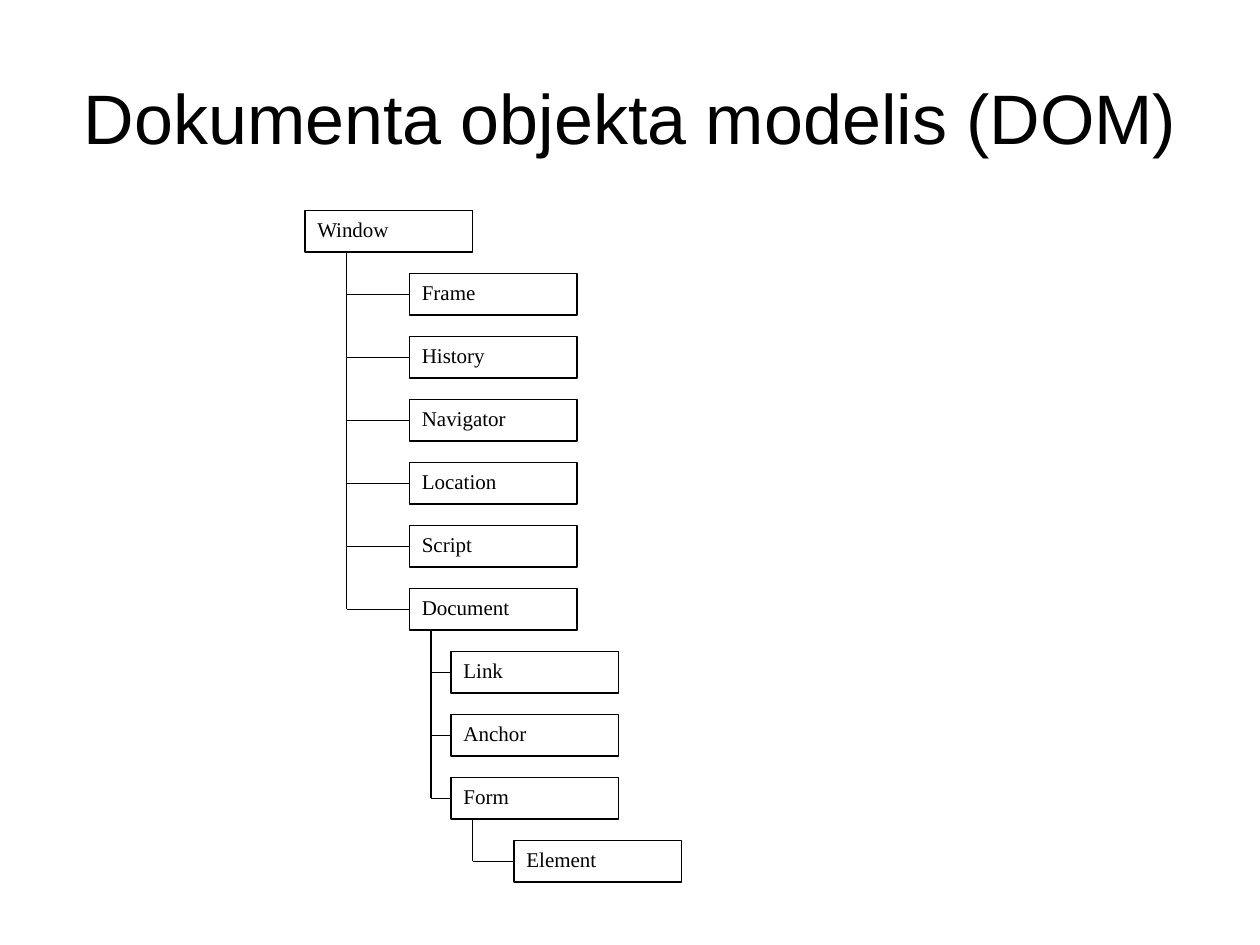
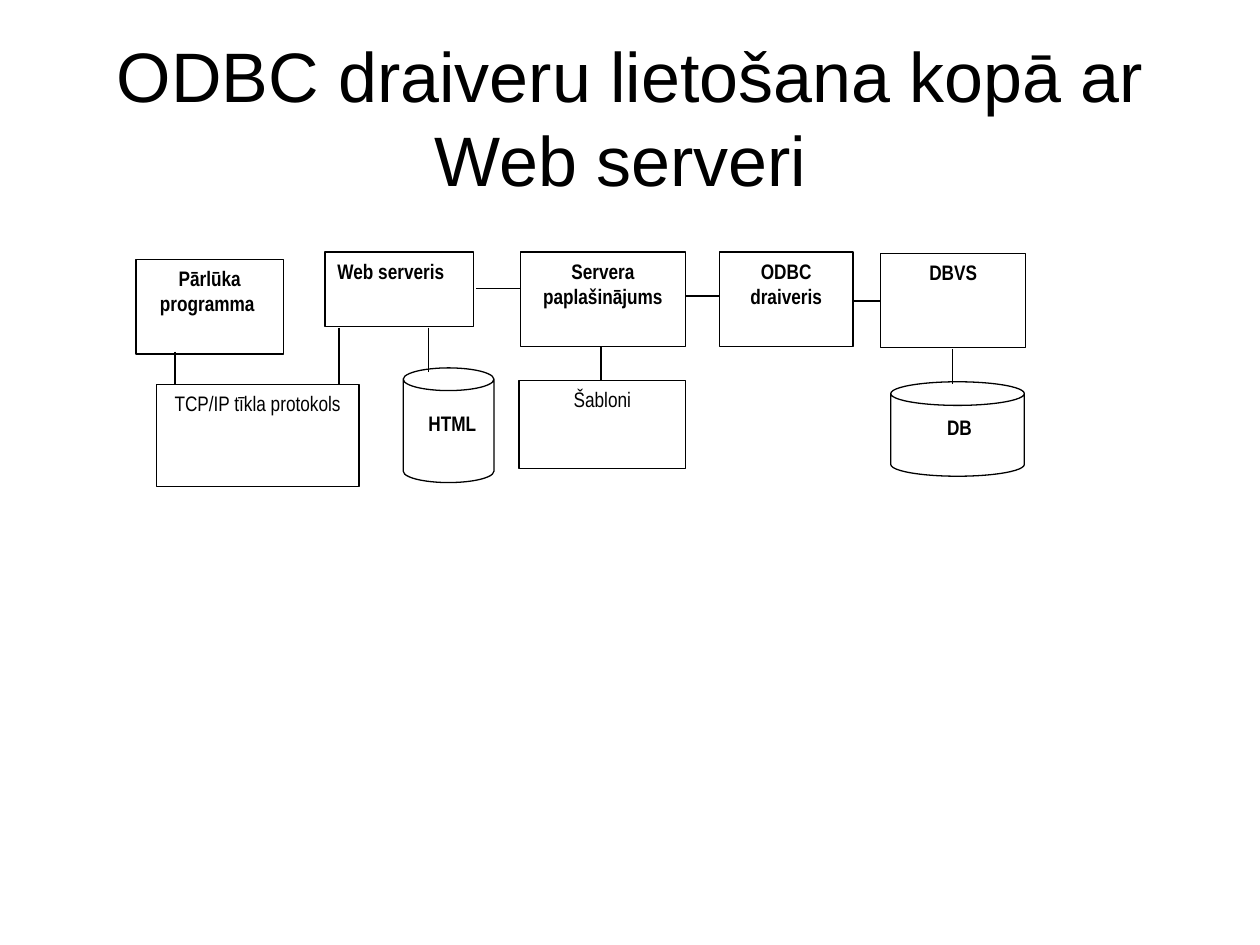
from lxml.etree import SubElement
from pptx import Presentation
from pptx.dml.color import RGBColor
from pptx.enum.shapes import MSO_CONNECTOR, MSO_SHAPE
from pptx.enum.text import MSO_ANCHOR, PP_ALIGN
from pptx.oxml.ns import qn
from pptx.util import Inches, Pt

INK = "000000"
PAPER = "FFFFFF"
TITLE_FONT = "Arial"
TREE_FONT = "Times New Roman"
FLOW_FONT = "Arial Narrow"

TREE_TOP, ROW_STEP = 1.67, 0.5
NODE_WIDTH, NODE_HEIGHT = 1.33, 0.33
ROOT, ROOT_LEFT = "Window", 2.42
BRANCHES = [
    (2.75, 3.25, ["Frame", "History", "Navigator", "Location", "Script", "Document"]),
    (3.42, 3.58, ["Link", "Anchor", "Form"]),
    (3.75, 4.08, ["Element"]),
]

FLOW_BOXES = [
    ("Pārlūka programma ", (1.08, 2.06, 1.17, 0.75), {}),
    ("Web serveris", (2.58, 2, 1.18, 0.59), {"align": PP_ALIGN.LEFT}),
    ("TCP/IP tīkla protokols", (1.24, 3.05, 1.61, 0.81), {"bold": False}),
    ("Servera paplašinājums", (4.13, 2, 1.31, 0.75), {}),
    ("ODBC draiveris", (5.71, 2, 1.06, 0.75), {}),
    ("DBVS", (6.99, 2.01, 1.15, 0.75), {}),
    ("Šabloni", (4.12, 3.02, 1.32, 0.7), {"bold": False}),
]
STORES = [
    ("HTML", (3.2, 2.92, 0.72, 0.91), (3.24, 3.21, 0.7, 0.44)),
    ("DB", (7.07, 3.03, 1.06, 0.75), (7.17, 3.24, 0.89, 0.52)),
]
FLOW_LINES = [
    (2.69, 2.6, 2.69, 3.05),
    (1.39, 2.79, 1.39, 3.05),
    (3.4, 2.6, 3.4, 2.95),
    (3.78, 2.29, 4.13, 2.29),
    (5.44, 2.35, 5.71, 2.35),
    (7.56, 2.77, 7.56, 3.05),
    (6.78, 2.39, 6.99, 2.39),
    (4.77, 2.75, 4.77, 3.02),
]


def color(value):
    """Turn a hex string into a colour."""
    return RGBColor.from_string(value)


def write(shape, text, font=FLOW_FONT, size=12, bold=False,
          align=PP_ALIGN.LEFT, anchor=MSO_ANCHOR.TOP):
    """Put formatted text into a shape."""
    frame = shape.text_frame
    frame.word_wrap = True
    frame.vertical_anchor = anchor
    para = frame.paragraphs[0]
    para.alignment = align
    span = para.add_run()
    span.text = text
    span.font.name = font
    span.font.size = Pt(size)
    span.font.bold = bold
    span.font.color.rgb = color(INK)


class Sketch:
    """Hold the diagram style and the current slide."""

    def __init__(self, deck):
        """Remember the presentation to draw in."""
        self.deck = deck
        self.page = None

    def start(self, title):
        """Add a slide with its title."""
        self.page = self.deck.slides.add_slide(self.deck.slide_layouts[6])
        self.label(title, (0.5, 0.3, 9, 1.25), font=TITLE_FONT, size=40,
                   align=PP_ALIGN.CENTER, anchor=MSO_ANCHOR.MIDDLE)

    def label(self, text, place, **style):
        """Add text without an outline."""
        write(self.page.shapes.add_textbox(*map(Inches, place)), text, **style)

    def outline(self, kind, place):
        """Add a white shape with a thin black edge."""
        shape = self.page.shapes.add_shape(kind, *map(Inches, place))
        shape.shadow.inherit = False
        shape.fill.solid()
        shape.fill.fore_color.rgb = color(PAPER)
        self.stroke(shape.line)
        return shape

    def box(self, text, place, **style):
        """Add a rectangle with text."""
        write(self.outline(MSO_SHAPE.RECTANGLE, place), text, **style)

    def store(self, text, can_place, text_place):
        """Add a cylinder with its label."""
        self.outline(MSO_SHAPE.CAN, can_place)
        self.label(text, text_place, bold=True, align=PP_ALIGN.CENTER)

    def link(self, *ends):
        """Add a straight line between two points."""
        line = self.page.shapes.add_connector(MSO_CONNECTOR.STRAIGHT, *map(Inches, ends))
        self.stroke(line.line)
        SubElement(line._element.spPr, qn("a:effectLst"))

    def stroke(self, line):
        """Apply the shared line style."""
        line.color.rgb = color(INK)
        line.width = Pt(0.75)


def draw_object_tree(sketch):
    """Draw the document object model, one node per row."""
    sketch.start("Dokumenta objekta modelis (DOM)")
    top = TREE_TOP
    sketch.box(ROOT, (ROOT_LEFT, top, NODE_WIDTH, NODE_HEIGHT), font=TREE_FONT)
    for trunk, left, names in BRANCHES:
        trunk_top = top + NODE_HEIGHT
        for name in names:
            top += ROW_STEP
            middle = top + NODE_HEIGHT / 2
            sketch.box(name, (left, top, NODE_WIDTH, NODE_HEIGHT), font=TREE_FONT)
            sketch.link(trunk, middle, left, middle)
        sketch.link(trunk, trunk_top, trunk, middle)


def draw_odbc_flow(sketch):
    """Draw the path from the browser to the database."""
    sketch.start("ODBC draiveru lietošana kopā ar Web serveri ")
    for text, place, style in FLOW_BOXES:
        sketch.box(text, place, **{"bold": True, "align": PP_ALIGN.CENTER, **style})
    for store in STORES:
        sketch.store(*store)
    for ends in FLOW_LINES:
        sketch.link(*ends)


def main():
    """Build and save the presentation."""
    deck = Presentation()
    deck.slide_width, deck.slide_height = Inches(10), Inches(7.5)
    sketch = Sketch(deck)
    draw_object_tree(sketch)
    draw_odbc_flow(sketch)
    deck.save("out.pptx")


if __name__ == "__main__":
    main()
